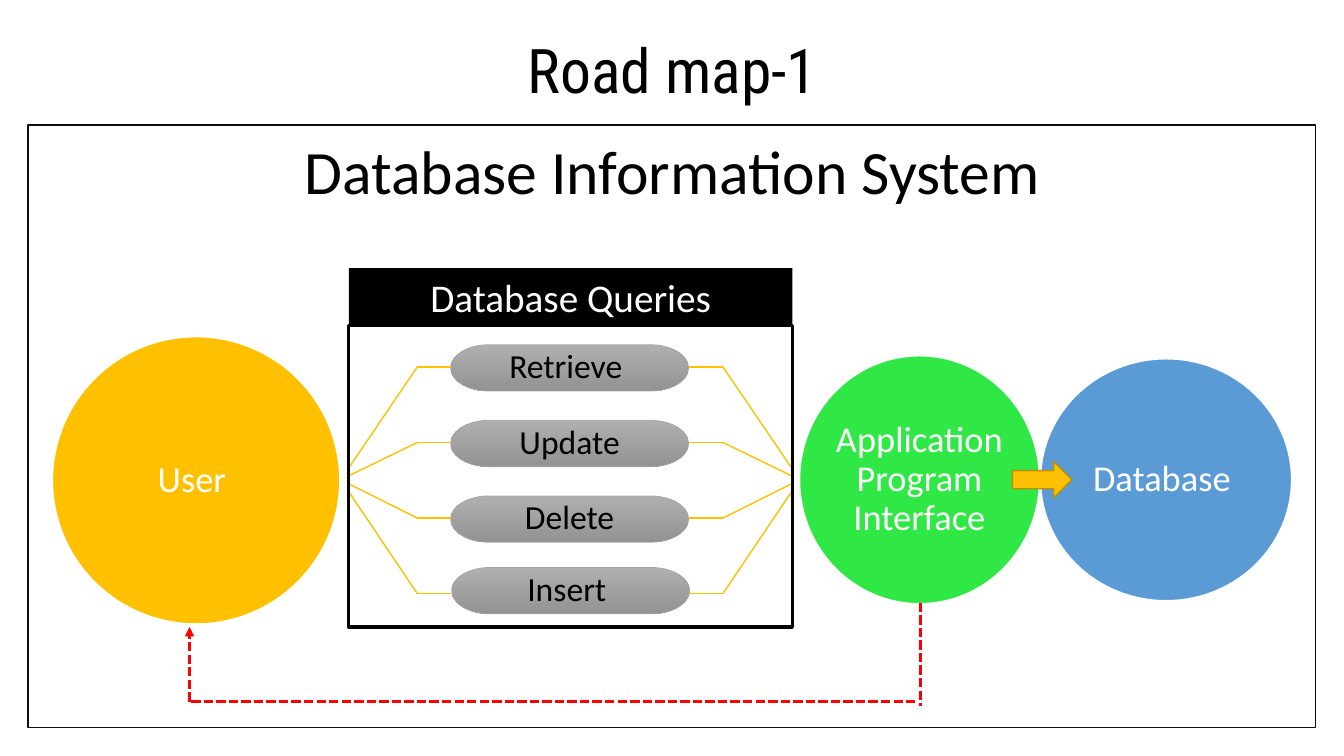
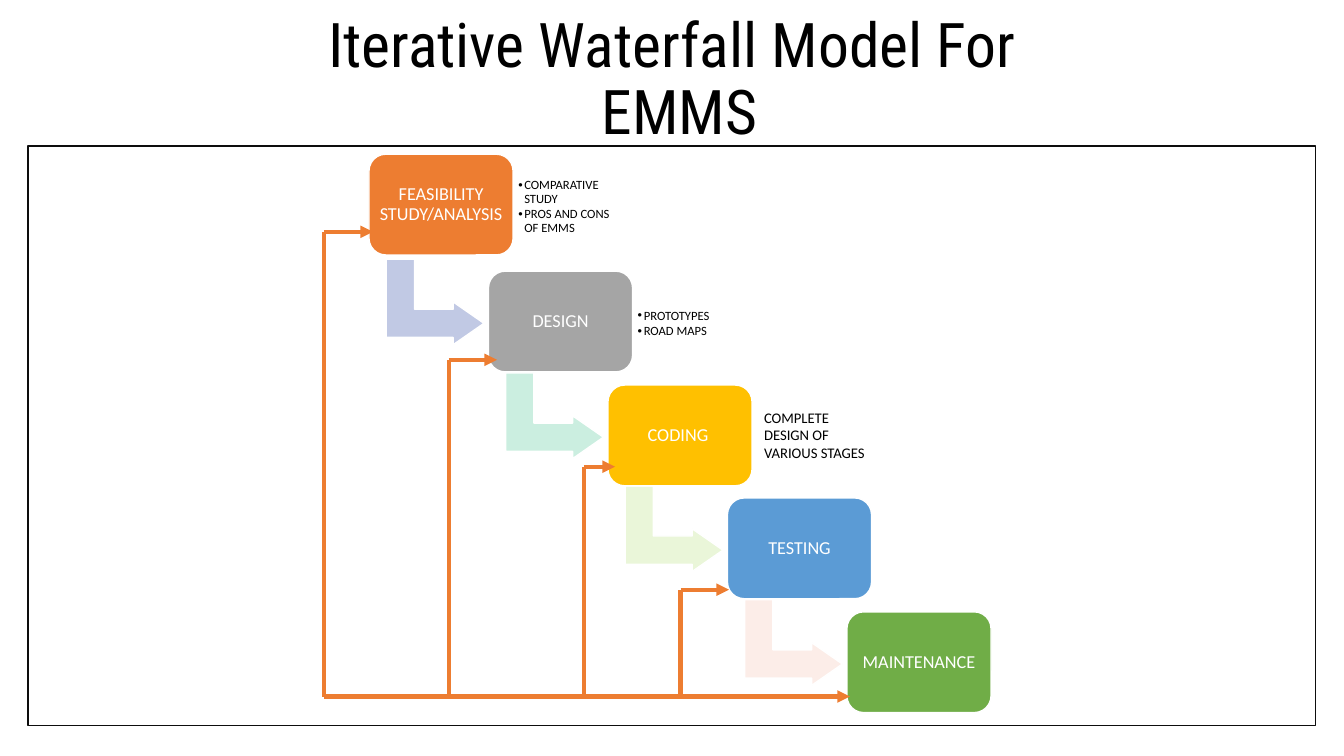
from lxml import etree
from pptx import Presentation
from pptx.dml.color import RGBColor
from pptx.enum.dml import MSO_LINE
from pptx.enum.shapes import MSO_CONNECTOR, MSO_SHAPE
from pptx.enum.text import MSO_ANCHOR, MSO_AUTO_SIZE, PP_ALIGN
from pptx.oxml.ns import qn
from pptx.util import Inches, Pt

BLACK = RGBColor(0x00, 0x00, 0x00)
WHITE = RGBColor(0xFF, 0xFF, 0xFF)
FRAME_LINE = RGBColor(0x0D, 0x0D, 0x0D)
GOLD = RGBColor(0xFF, 0xC0, 0x00)
DARK_GOLD = RGBColor(0xBD, 0x8E, 0x00)
GREEN = RGBColor(0x30, 0xE8, 0x45)
LEAF = RGBColor(0x70, 0xAD, 0x47)
BLUE = RGBColor(0x5B, 0x9B, 0xD5)
ORANGE = RGBColor(0xED, 0x7D, 0x31)
RED = RGBColor(0xFF, 0x00, 0x00)
GRAY = RGBColor(0xA5, 0xA5, 0xA5)
LIGHT_GRAY = RGBColor(0xAF, 0xAF, 0xAF)
DARK_GRAY = RGBColor(0x93, 0x93, 0x93)
LAVENDER = RGBColor(0xC1, 0xC9, 0xE4)
MINT = RGBColor(0xCB, 0xEE, 0xE0)
LIME = RGBColor(0xEA, 0xF6, 0xD9)
BLUSH = RGBColor(0xFC, 0xED, 0xE8)

TITLE_FONT = "Roboto Condensed"
BODY_FONT = "Calibri"
TITLE_ONLY = 5
TWO_CONTENT = 3

RECTANGLE = MSO_SHAPE.RECTANGLE
ROUNDED = MSO_SHAPE.ROUNDED_RECTANGLE
ELLIPSE = MSO_SHAPE.OVAL
PILL = MSO_SHAPE.FLOWCHART_TERMINATOR
RIGHT_ARROW = MSO_SHAPE.RIGHT_ARROW
BENT_ARROW = MSO_SHAPE.BENT_UP_ARROW
STRAIGHT = MSO_CONNECTOR.STRAIGHT
DASHED = MSO_LINE.SQUARE_DOT
CENTER = PP_ALIGN.CENTER
LEFT = PP_ALIGN.LEFT
MIDDLE = MSO_ANCHOR.MIDDLE
NO_AUTOFIT = MSO_AUTO_SIZE.NONE

PILLS = [
    ("Retrieve ", 4.47, 3.42),
    ("Update", 4.47, 4.17),
    ("Delete", 4.47, 4.92),
    ("Insert ", 4.48, 5.63),
]
CIRCLES = [
    ("User ", (0.52, 3.34, 2.85, 2.85), GOLD),
    ("Application Program Interface", (7.93, 3.53, 2.38, 2.46), GREEN),
    ("Database ", (10.32, 3.56, 2.49, 2.4), BLUE),
]
RETURN_PATH = [(9.13, 5.98, 9.13, 7), (9.08, 6.96, 1.88, 6.96), (1.88, 6.96, 1.88, 6.22)]

STEPS = [
    ("FEASIBILITY STUDY/ANALYSIS", 1.53, ORANGE, LAVENDER),
    ("DESIGN", 2.69, GRAY, MINT),
    ("CODING ", 3.82, GOLD, LIME),
    ("TESTING", 4.94, BLUE, BLUSH),
    ("MAINTENANCE", 6.07, LEAF, None),
]
STEP_LEFT = 3.66
STEP_PITCH = 1.185
STEP_WIDTH = 1.43
STEP_LISTS = [
    ("COMPARATIVE STUDY", "PROS AND CONS OF EMMS"),
    ("PROTOTYPES", "ROAD MAPS"),
]
FEEDBACK_BASE = 6.91
FEEDBACK_LOOPS = [
    (3.21, 2.3, 3.7),
    (4.45, 3.57, 4.93),
    (5.79, 4.63, 6.1),
    (6.75, 5.85, 7.23),
]


def place(shape, box):
    shape.left, shape.top, shape.width, shape.height = map(Inches, box)


def write_text(shape, text, size, color, font=BODY_FONT, align=CENTER, spacing=0.9, margin=0):
    frame = shape.text_frame
    frame.auto_size = NO_AUTOFIT
    frame.word_wrap = True
    frame.vertical_anchor = MIDDLE
    frame.margin_left = frame.margin_right = Inches(margin)
    frame.margin_top = frame.margin_bottom = Inches(min(margin, 0.05))
    frame.text = text
    for paragraph in frame.paragraphs:
        paragraph.alignment = align
        paragraph.line_spacing = spacing
        for run in paragraph.runs:
            run.font.name = font
            run.font.size = Pt(size)
            run.font.color.rgb = color


def add_figure(slide, kind, box, fill=None, line=None, width=1.0):
    shape = slide.shapes.add_shape(kind, *map(Inches, box))
    shape.shadow.inherit = False
    if fill is None:
        shape.fill.background()
    else:
        shape.fill.solid()
        shape.fill.fore_color.rgb = fill
    if line is None:
        shape.line.fill.background()
    else:
        shape.line.color.rgb = line
        shape.line.width = Pt(width)
    return shape


def add_text(slide, box, text, size, **style):
    text_box = slide.shapes.add_textbox(*map(Inches, box))
    write_text(text_box, text, size, BLACK, **style)


def add_line(slide, ends, color, width, dash=None, arrow=False):
    connector = slide.shapes.add_connector(STRAIGHT, *map(Inches, ends))
    connector.line.color.rgb = color
    connector.line.width = Pt(width)
    if dash is not None:
        connector.line.dash_style = dash
    properties = connector.element.spPr
    if arrow:
        etree.SubElement(properties.find(qn("a:ln")), qn("a:tailEnd"), type="triangle")
    etree.SubElement(properties, qn("a:effectLst"))


def add_framed_slide(presentation, layout, title, title_top, frame_top, frame_height):
    slide = presentation.slides.add_slide(presentation.slide_layouts[layout])
    place(slide.shapes.title, (0.92, title_top, 11.5, 1.45))
    write_text(slide.shapes.title, title, 44, BLACK, font=TITLE_FONT, margin=0.1)
    add_figure(slide, RECTANGLE, (0.28, frame_top, 12.77, frame_height), line=FRAME_LINE)
    return slide


def add_pill(slide, text, left, top):
    pill = add_figure(slide, PILL, (left, top, 2.36, 0.46), GRAY, GRAY, 0.5)
    pill.fill.gradient()
    pill.fill.gradient_angle = 270
    for stop, color in zip(pill.fill.gradient_stops, (LIGHT_GRAY, DARK_GRAY)):
        stop.color.rgb = color
    write_text(pill, text, 24, BLACK)


def fill_list(placeholder, box, items):
    place(placeholder, box)
    write_text(placeholder, "\n".join(items), 9, BLACK, align=LEFT, margin=0.05)
    for paragraph in placeholder.text_frame.paragraphs:
        paragraph.space_before = Pt(0)
        paragraph.space_after = Pt(1.35)
        properties = paragraph.runs[0].font and paragraph._p.get_or_add_pPr()
        properties.set("marL", str(Inches(0.06)))
        properties.set("indent", str(Inches(-0.06)))
        etree.SubElement(properties, qn("a:buChar"), char="•")


def add_branches(slide):
    for row in range(len(PILLS)):
        level = 3.64 + 0.75 * row
        hub = 4.64 + 0.08 * row
        for edge, bend, pill_side in ((3.46, 4.14, 4.47), (7.85, 7.17, 6.83)):
            add_line(slide, (edge, hub, bend, level), GOLD, 1)
            add_line(slide, (bend, level, pill_side, level), GOLD, 1)


def build_road_map(presentation):
    slide = add_framed_slide(presentation, TITLE_ONLY, "Road map-1", 0, 1.24, 5.98)
    for pill in PILLS:
        add_pill(slide, *pill)
    add_branches(slide)
    for text, box, color in CIRCLES:
        circle = add_figure(slide, ELLIPSE, box, color, WHITE)
        write_text(circle, text, 26, WHITE)
    add_figure(slide, RIGHT_ARROW, (10.04, 4.58, 0.59, 0.36), GOLD, DARK_GOLD)
    add_figure(slide, RECTANGLE, (3.46, 3.23, 4.4, 2.99), line=BLACK, width=2.25)
    header = add_figure(slide, RECTANGLE, (3.46, 2.66, 4.4, 0.57), BLACK)
    write_text(header, "Database Queries", 28, WHITE, spacing=1.0)
    for ends in RETURN_PATH:
        add_line(slide, ends, RED, 2.25, DASHED, arrow=ends == RETURN_PATH[-1])
    add_text(slide, (2.88, 1.27, 7.58, 0.84), "Database Information System", 44, spacing=1.0)


def add_step(slide, index):
    text, top, color, arrow_color = STEPS[index]
    left = STEP_LEFT + STEP_PITCH * index
    if arrow_color is not None:
        arrow_top = STEPS[index + 1][1] - 0.18
        arrow = add_figure(slide, BENT_ARROW, (left + 0.23, arrow_top, 0.85, 0.97), arrow_color, WHITE)
        arrow.rotation = 90
        for position, value in enumerate((0.33, 0.25, 0.36)):
            arrow.adjustments[position] = value
    step = add_figure(slide, ROUNDED, (left, top, STEP_WIDTH, 1), color, WHITE)
    write_text(step, text, 13, WHITE, margin=0.05)


def build_waterfall(presentation):
    title = "Iterative Waterfall Model For\v EMMS"
    slide = add_framed_slide(presentation, TWO_CONTENT, title, 0.08, 1.45, 5.75)
    for index in range(len(STEPS)):
        add_step(slide, index)
    bodies = list(slide.placeholders)[1:]
    for index, (body, items) in enumerate(zip(bodies, STEP_LISTS)):
        left = STEP_LEFT + STEP_PITCH * index + STEP_WIDTH
        fill_list(body, (left, STEPS[index][1] + 0.12, 1.04, 0.81), items)
    note = "COMPLETE DESIGN OF VARIOUS STAGES"
    add_text(slide, (7.48, 4, 1.28, 0.63), note, 10.5, align=LEFT, spacing=1.0, margin=0.1)
    add_line(slide, (3.21, FEEDBACK_BASE, 8.43, FEEDBACK_BASE), ORANGE, 3, arrow=True)
    for trunk, level, target in FEEDBACK_LOOPS:
        add_line(slide, (trunk, FEEDBACK_BASE, trunk, level), ORANGE, 3)
        add_line(slide, (trunk, level, target, level), ORANGE, 3, arrow=True)


def main():
    presentation = Presentation()
    presentation.slide_width = Inches(13.33)
    presentation.slide_height = Inches(7.5)
    build_road_map(presentation)
    build_waterfall(presentation)
    presentation.save("out.pptx")


if __name__ == "__main__":
    main()
